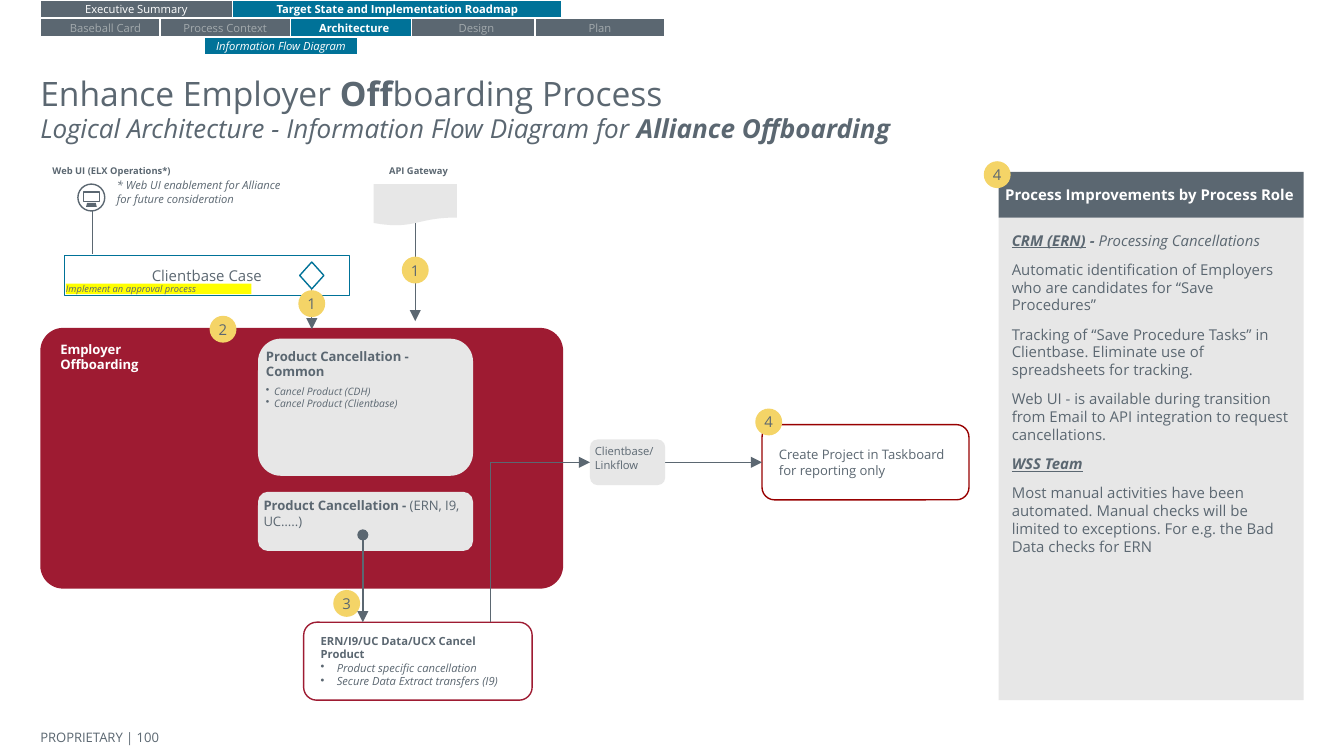
from pptx import Presentation
from pptx.dml.color import RGBColor
from pptx.enum.shapes import MSO_CONNECTOR as Link, MSO_SHAPE as Kind
from pptx.enum.text import MSO_ANCHOR as Anchor, PP_ALIGN as Align
from pptx.oxml.ns import qn
from pptx.util import Inches, Pt
from lxml.etree import SubElement


class Theme:
    """Hold the colours, type sizes and font."""
    font = "Open Sans"
    slate, teal, red, deep = "5B6771", "007298", "9E1B32", "980000"
    gold, pale, mist = "F4D467", "E7E7E7", "A3AAAD"
    white, yellow = "FFFFFF", "FFFF00"
    tiny, note, small, body, lead, sub, head = 5, 5.5, 6, 7, 8, 14, 18
    rule = 0.75


def put(item, values):
    """Set each named value on an item."""
    for name, value in values.items():
        setattr(item, name, value)


def rgb(tone):
    """Turn a hex tone into a colour."""
    return RGBColor.from_string(tone)


def para(*runs, sb=0, sa=0, hang=None):
    """Describe a paragraph of (text, style letters, size) runs."""
    return {"runs": runs, "sb": sb, "sa": sa, "hang": hang}


def bullet(text, hang, size, sb=0):
    """Describe an italic bullet paragraph."""
    return para((text, "i", size), sb=sb, hang=hang)


def write(shape, paras, size=Theme.body, tone=Theme.slate, pad=(0, 0, 0, 0),
          anchor=Anchor.TOP, align=Align.LEFT):
    """Write paragraphs into a shape."""
    frame = shape.text_frame
    sides = ("margin_left", "margin_top", "margin_right", "margin_bottom")
    put(frame, {"word_wrap": True, "vertical_anchor": anchor})
    put(frame, {side: Inches(gap) for side, gap in zip(sides, pad)})
    for i, item in enumerate(paras):
        line = frame.add_paragraph() if i else frame.paragraphs[0]
        put(line, {"alignment": align, "space_before": Pt(item["sb"]),
                   "space_after": Pt(item["sa"])})
        if item["hang"]:
            left, first = item["hang"]
            props = line._p.get_or_add_pPr()
            props.set("marL", str(Inches(left)))
            props.set("indent", str(Inches(first)))
            SubElement(props, qn("a:buChar")).set("char", "•")
        for text, style, points in item["runs"]:
            if text == "\n":
                line.add_line_break()
                continue
            run = line.add_run()
            run.text = text
            put(run.font, {"name": Theme.font, "size": Pt(points or size),
                           "bold": "b" in style, "italic": "i" in style,
                           "underline": "u" in style})
            run.font.color.rgb = rgb(tone)


def plain(text, style=""):
    """Describe a single run paragraph as a list."""
    return [para((text, style, None))]


def form(slide, kind, box, fill=None, line=None, adj=None, paras=(), **look):
    """Add a preset shape with optional text."""
    shape = slide.shapes.add_shape(kind, *map(Inches, box))
    shape.shadow.inherit = False
    if fill:
        shape.fill.solid()
        shape.fill.fore_color.rgb = rgb(fill)
    else:
        shape.fill.background()
    if line:
        shape.line.color.rgb = rgb(line)
        shape.line.width = Pt(Theme.rule)
    else:
        shape.line.fill.background()
    if adj:
        shape.adjustments[0] = adj
    write(shape, paras, **look)


def label(slide, box, paras, **look):
    """Add a text box."""
    write(slide.shapes.add_textbox(*map(Inches, box)), paras, **look)


def badge(slide, x, y, text):
    """Add a numbered step circle."""
    form(slide, Kind.OVAL, (x, y, 0.2, 0.2), Theme.gold, paras=plain(text),
         size=Theme.lead, anchor=Anchor.MIDDLE, align=Align.CENTER)


def wire(slide, start, end, head=None, tail="triangle", kind=Link.STRAIGHT):
    """Add a line with optional arrowheads."""
    link = slide.shapes.add_connector(kind, *map(Inches, start + end))
    link.line.color.rgb = rgb(Theme.slate)
    link.line.width = Pt(Theme.rule)
    props = link._element.spPr
    for tag, mark in (("a:headEnd", head), ("a:tailEnd", tail)):
        if mark:
            SubElement(props.find(qn("a:ln")), qn(tag)).set("type", mark)
    SubElement(props, qn("a:effectLst"))
    return link


def corner(slide, start, end):
    """Add an arrow that goes up and then right."""
    (x, y), (u, v) = start, end
    wide, high = y - v, u - x
    left, top = (x + u - wide) / 2, (y + v - high) / 2
    link = wire(slide, (left, top), (left + wide, top + high), kind=Link.ELBOW)
    props = link._element.spPr
    props.find(qn("a:xfrm")).set("rot", "16200000")
    props.find(qn("a:prstGeom")).set("prst", "bentConnector2")


def tabs(slide, x, y):
    """Draw the three rows of navigation tabs."""
    on, off = (Theme.teal, Theme.white), (Theme.slate, Theme.white)
    dim = (Theme.slate, Theme.mist)
    cells = [(1.43, 0, 2.45, "Target State and Implementation Roadmap", "b", on),
             (0, 0, 1.43, "Executive Summary", "", off),
             (1.85, 0.14, 0.97, "Architecture", "b", on),
             (0, 0.14, 0.97, "Baseball Card", "", dim),
             (2.76, 0.14, 0.97, "Design", "", dim),
             (3.68, 0.14, 0.97, "Plan", "", dim),
             (0.89, 0.14, 0.97, "Process Context", "", dim),
             (1.22, 0.28, 1.14, "Information Flow Diagram", "i", on)]
    for dx, dy, wide, text, style, (fill, tone) in cells:
        form(slide, Kind.RECTANGLE, (x + dx, y + dy, wide, 0.13), fill, Theme.white,
             paras=plain(text, style), size=Theme.small, tone=tone, pad=(0.03,) * 4,
             anchor=Anchor.MIDDLE, align=Align.CENTER)


def title(slide, x, y, w, h):
    """Write the two title lines."""
    big, mid = Theme.head, Theme.sub
    label(slide, (x, y, w, h), [
        para(("Enhance Employer ", "", big), ("Off", "b", big),
             ("boarding Process", "", big)),
        para(("Logical Architecture - Information Flow Diagram for ", "i", mid),
             ("Alliance Offboarding", "bi", mid))])


def screen(slide, x, y):
    """Draw the round monitor icon."""
    form(slide, Kind.OVAL, (x, y, 0.2, 0.2), line=Theme.slate)
    form(slide, Kind.RECTANGLE, (x + 0.04, y + 0.06, 0.12, 0.07), line=Theme.slate)
    form(slide, Kind.TRAPEZOID, (x + 0.06, y + 0.14, 0.08, 0.03), Theme.slate)


def intake(slide, x, y):
    """Draw the web and gateway entry points."""
    tiny = {"size": Theme.tiny}
    wire(slide, (x + 2.7, y + 0.43), (x + 2.7, y + 1.16))
    form(slide, Kind.FLOWCHART_DOCUMENT, (x + 2.39, y + 0.14, 0.62, 0.31), Theme.pale)
    label(slide, (x + 2.12, y, 1.21, 0.08), plain("API Gateway", "b"),
          align=Align.CENTER, **tiny)
    label(slide, (x, y, 0.9, 0.08), plain("Web UI (ELX Operations*)", "b"), **tiny)
    wire(slide, (x + 0.3, y + 0.66), (x + 0.3, y + 0.33), tail=None)
    screen(slide, x + 0.19, y + 0.14)
    label(slide, (x + 0.48, y + 0.1, 1.28, 0.2), plain(
        "* Web UI enablement for Alliance for future consideration", "i"),
        size=Theme.small)
    badge(slide, x + 2.6, y + 0.68, "1")
    form(slide, Kind.RECTANGLE, (x + 0.09, y + 0.67, 2.12, 0.3), Theme.white, Theme.teal,
         paras=plain("Clientbase Case"), size=Theme.lead, pad=(0.05,) * 4,
         anchor=Anchor.MIDDLE, align=Align.CENTER)
    form(slide, Kind.DIAMOND, (x + 1.84, y + 0.72, 0.18, 0.2), line=Theme.teal)
    wire(slide, (x + 1.93, y + 0.92), (x + 1.93, y + 1.22))
    form(slide, Kind.RECTANGLE, (x + 0.1, y + 0.88, 1.38, 0.08), Theme.yellow,
         paras=plain("Implement an approval process", "i"), **tiny)
    badge(slide, x + 1.83, y + 0.93, "1")


def core(slide, x, y, w, h):
    """Draw the offboarding block and its cancellation cards."""
    card, hang = Kind.ROUNDED_RECTANGLE, (0.06, -0.07)
    form(slide, card, (x, y, w, h), Theme.red, adj=0.088,
         paras=plain("Employer", "b") + plain("Offboarding", "b"),
         tone=Theme.white, pad=(0.1, 0.05, 0.1, 0.1))
    badge(slide, x + 1.26, y - 0.09, "2")
    form(slide, card, (x + 1.62, y + 0.08, 1.6, 1.02), Theme.pale, adj=0.167, paras=[
        para(("Product Cancellation - Common", "b", None)),
        bullet("Cancel Product (CDH)", hang, Theme.note, sb=3),
        bullet("Cancel Product (Clientbase)", hang, Theme.note)],
        pad=(0.01, 0.02, 0, 0.02))
    form(slide, card, (x + 1.62, y + 1.22, 1.6, 0.44), Theme.pale, adj=0.167, paras=[
        para(("Product Cancellation -", "b", None), (" (ERN, I9, UC…..)", "", None))],
        pad=(0.02,) * 4)


def output(slide, x, y):
    """Draw the downstream steps below and beside the block."""
    card, hang = Kind.ROUNDED_RECTANGLE, (0.12, -0.12)
    look = {"adj": 0.167, "pad": (0.1,) * 4, "anchor": Anchor.MIDDLE}
    form(slide, card, (x, y, 1.7, 0.58), Theme.white, Theme.red, paras=[
        para(("ERN/I9/UC Data/UCX Cancel Product", "b", None)),
        bullet("Product specific cancellation", hang, Theme.small),
        bullet("Secure Data Extract transfers (I9)", hang, Theme.small)],
        size=Theme.small, **look)
    form(slide, card, (x + 3.41, y - 1.47, 1.54, 0.56), Theme.white, Theme.deep,
         paras=plain("Create Project in Taskboard for reporting only"), **look)
    wire(slide, (x + 2.68, y - 1.19), (x + 3.41, y - 1.19))
    badge(slide, x + 0.22, y - 0.24, "3")
    form(slide, card, (x + 2.13, y - 1.36, 0.56, 0.34), Theme.pale, adj=0.167, paras=[
        para(("Clientbase/", "", None), ("\n", "", None), ("Linkflow", "", None), sa=3)],
        size=Theme.small, pad=(0.02,) * 4)
    corner(slide, (x + 1.39, y), (x + 2.13, y - 1.19))
    badge(slide, x + 3.36, y - 1.59, "4")
    wire(slide, (x + 0.44, y - 0.65), (x + 0.44, y), head="oval")


def panel(slide, x, y, w, h):
    """Draw the process improvements panel."""
    bar = 0.34
    notes = [("Automatic identification of Employers who are candidates for “Save "
              "Procedures”", ""),
             ("Tracking of “Save Procedure Tasks” in Clientbase. Eliminate use of "
              "spreadsheets for tracking.", ""),
             ("Web UI - is available during transition from Email to API integration "
              "to request cancellations.", ""),
             ("WSS Team", "biu"),
             ("Most manual activities have been automated. Manual checks will be "
              "limited to exceptions. For e.g. the Bad Data checks for ERN", "")]
    first = para(("CRM (ERN)", "biu", None), (" - ", "bi", None),
                 ("Processing Cancellations", "i", None))
    form(slide, Kind.RECTANGLE, (x, y + bar, w, h - bar), Theme.pale,
         paras=[first] + [para((text, style, None), sb=6) for text, style in notes],
         size=Theme.lead, pad=(0.1,) * 4)
    form(slide, Kind.RECTANGLE, (x, y, w, bar), Theme.slate,
         paras=plain("Process Improvements by Process Role", "b"), size=Theme.lead,
         tone=Theme.white, pad=(0.05,) * 4, anchor=Anchor.MIDDLE)
    badge(slide, x - 0.11, y - 0.08, "4")


def main():
    """Build and save the slide."""
    deck = Presentation()
    wide = Inches(10)
    put(deck, {"slide_width": wide, "slide_height": wide * 9 // 16})
    slide = deck.slides.add_slide(deck.slide_layouts[6])
    label(slide, (0.3, 5.39, 1.38, 0.19), plain("PROPRIETARY | 100"),
          anchor=Anchor.MIDDLE)
    core(slide, 0.3, 2.44, 3.89, 1.94)
    output(slide, 2.26, 4.63)
    intake(slide, 0.39, 1.23)
    panel(slide, 7.43, 1.28, 2.27, 3.93)
    title(slide, 0.3, 0.54, 9.4, 0.5)
    tabs(slide, 0.3, 0)
    deck.save("out.pptx")


if __name__ == "__main__":
    main()
